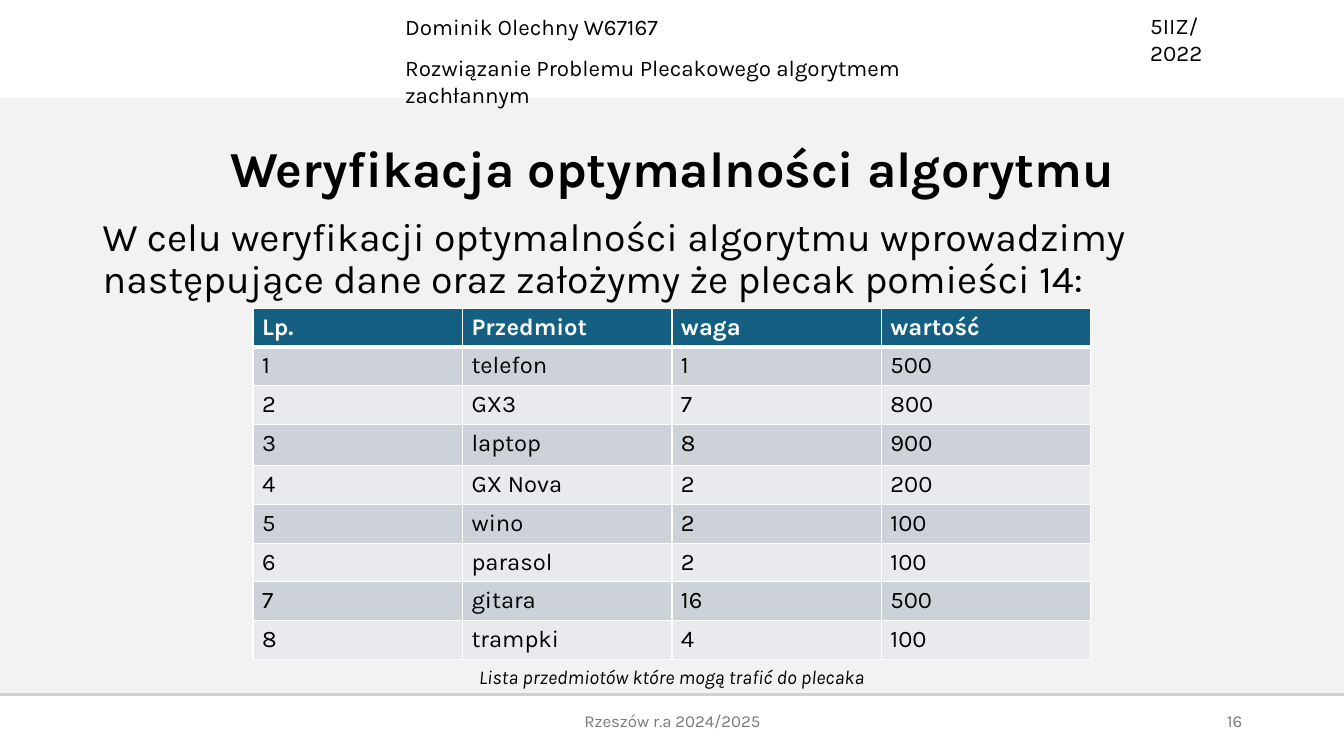
from lxml import etree
from pptx import Presentation
from pptx.dml.color import RGBColor
from pptx.enum.shapes import MSO_CONNECTOR, MSO_SHAPE
from pptx.enum.text import MSO_ANCHOR, PP_ALIGN
from pptx.oxml.ns import qn
from pptx.util import Inches, Pt

LEFT, CENTER, RIGHT = PP_ALIGN.LEFT, PP_ALIGN.CENTER, PP_ALIGN.RIGHT
TOP, MIDDLE = MSO_ANCHOR.TOP, MSO_ANCHOR.MIDDLE
RECTANGLE = MSO_SHAPE.RECTANGLE
STRAIGHT = MSO_CONNECTOR.STRAIGHT

BLACK = RGBColor(0x00, 0x00, 0x00)
WHITE = RGBColor(0xFF, 0xFF, 0xFF)
PANEL_GRAY = RGBColor(0xF2, 0xF2, 0xF2)
RULE_GRAY = RGBColor(0xD1, 0xD1, 0xD1)
FOOTER_GRAY = RGBColor(0x79, 0x79, 0x79)
HEADER_BLUE = RGBColor(0x15, 0x60, 0x82)
BAND_DARK = RGBColor(0xCC, 0xD2, 0xD8)
BAND_LIGHT = RGBColor(0xE8, 0xEA, 0xED)

FONT = "Karla"
SLIDE_W, SLIDE_H = 13.33, 7.5
BAND_BOTTOM, FOOTER_TOP = 0.97, 6.89

ITEMS = [
    ("Lp.", "Przedmiot", "waga", "wartość"),
    ("1", "telefon", "1", "500"),
    ("2", "GX3", "7", "800"),
    ("3", "laptop", "8", "900"),
    ("4", "GX Nova", "2", "200"),
    ("5", "wino", "2", "100"),
    ("6", "parasol", "2", "100"),
    ("7", "gitara", "16", "500"),
    ("8", "trampki", "4", "100"),
]
ROW_H, LAPTOP_ROW_H = 0.38, 0.41


def write_text(frame, text, size=16, color=BLACK, bold=False, italic=False,
               align=LEFT, line_spacing=None, space_before=None):
    paragraph = frame.paragraphs[0]
    paragraph.alignment = align
    if line_spacing:
        paragraph.line_spacing = line_spacing
    if space_before:
        paragraph.space_before = Pt(space_before)
    run = paragraph.add_run()
    run.text = text
    font = run.font
    font.name, font.size = FONT, Pt(size)
    font.bold, font.italic = bold, italic
    font.color.rgb = color


def add_label(slide, box, text, anchor=TOP, wrap=True, **text_format):
    frame = slide.shapes.add_textbox(*map(Inches, box)).text_frame
    frame.word_wrap = wrap
    frame.vertical_anchor = anchor
    write_text(frame, text, **text_format)


def add_panel(slide, box, color):
    panel = slide.shapes.add_shape(RECTANGLE, *map(Inches, box))
    panel.shadow.inherit = False
    panel.fill.solid()
    panel.fill.fore_color.rgb = color
    panel.line.fill.background()


def add_rule(slide, y):
    rule = slide.shapes.add_connector(
        STRAIGHT, Inches(0), Inches(y), Inches(SLIDE_W), Inches(y))
    rule.line.color.rgb = RULE_GRAY
    rule.line.width = Pt(1.5)
    etree.SubElement(rule._element.spPr, qn("a:effectLst"))


def set_border(cell, side, points):
    properties = cell._tc.get_or_add_tcPr()
    line = etree.SubElement(properties, qn(f"a:ln{side}"), w=str(Pt(points)))
    fill = etree.SubElement(line, qn("a:solidFill"))
    etree.SubElement(fill, qn("a:srgbClr"), val=str(WHITE))


def add_items_table(slide, left, top, width):
    height = ROW_H * len(ITEMS)
    table = slide.shapes.add_table(
        len(ITEMS), len(ITEMS[0]),
        *map(Inches, (left, top, width, height))).table
    for column in table.columns:
        column.width = Inches(width / len(ITEMS[0]))
    for r, values in enumerate(ITEMS):
        is_header = r == 0
        table.rows[r].height = Inches(LAPTOP_ROW_H if r == 3 else ROW_H)
        band = BAND_DARK if r % 2 else BAND_LIGHT
        # A thick line parts the header from the items
        widths = {"L": 1, "R": 1, "T": 3 if r == 1 else 1,
                  "B": 3 if is_header else 1}
        for c, value in enumerate(values):
            cell = table.cell(r, c)
            cell.margin_left = cell.margin_right = Inches(0.09)
            cell.margin_top = cell.margin_bottom = Inches(0.05)
            for side, points in widths.items():
                set_border(cell, side, points)
            cell.fill.solid()
            cell.fill.fore_color.rgb = HEADER_BLUE if is_header else band
            write_text(cell.text_frame, value, size=17, bold=is_header,
                       color=WHITE if is_header else BLACK)


def main():
    deck = Presentation()
    deck.slide_width, deck.slide_height = Inches(SLIDE_W), Inches(SLIDE_H)
    slide = deck.slides.add_slide(deck.slide_layouts[6])

    # Background bands
    add_panel(slide, (0, BAND_BOTTOM, SLIDE_W, FOOTER_TOP - BAND_BOTTOM),
              PANEL_GRAY)
    add_panel(slide, (0, 0, SLIDE_W, BAND_BOTTOM), WHITE)

    # Page header
    add_label(slide, (3.92, 0.08, 2.71, 0.37), "Dominik Olechny W67167",
              wrap=False)
    add_label(slide, (11.31, 0.07, 1.1, 0.37), "5IIZ/2022")
    add_label(slide, (3.92, 0.49, 6.16, 0.37),
              "Rozwiązanie Problemu Plecakowego algorytmem zachłannym")
    add_rule(slide, FOOTER_TOP)

    # Title and introduction
    add_label(slide, (0.92, 1.36, 11.5, 0.68),
              "Weryfikacja optymalności algorytmu", anchor=MIDDLE,
              size=36, bold=True, align=CENTER, line_spacing=0.9)
    add_label(slide, (0.92, 2.11, 11.5, 4.65),
              "W celu weryfikacji optymalności algorytmu wprowadzimy "
              "następujące dane oraz założymy że plecak pomieści 14:",
              size=28, line_spacing=0.9, space_before=10)

    # Footer
    add_label(slide, (4.42, 6.95, 4.5, 0.4), "Rzeszów r.a 2024/2025",
              anchor=MIDDLE, size=12, color=FOOTER_GRAY, align=CENTER)
    add_label(slide, (9.42, 6.95, 3, 0.4), "16",
              anchor=MIDDLE, size=12, color=FOOTER_GRAY, align=RIGHT)

    # Items and caption
    add_items_table(slide, 2.51, 3.06, 8.31)
    add_label(slide, (2.51, 6.55, 8.31, 0.34),
              "Lista przedmiotów które mogą trafić do plecaka",
              size=14, italic=True, align=CENTER)

    deck.save("out.pptx")


if __name__ == "__main__":
    main()
